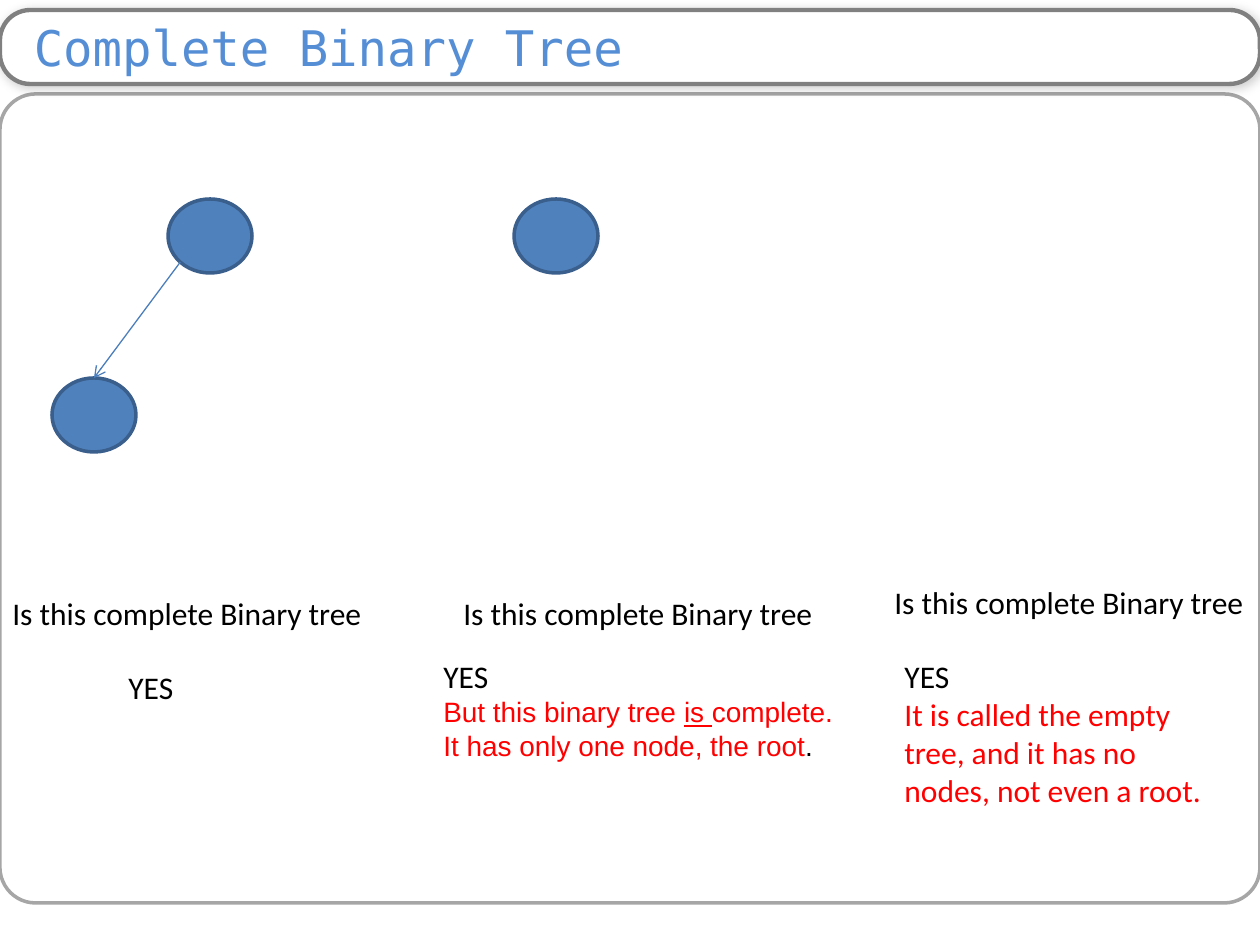
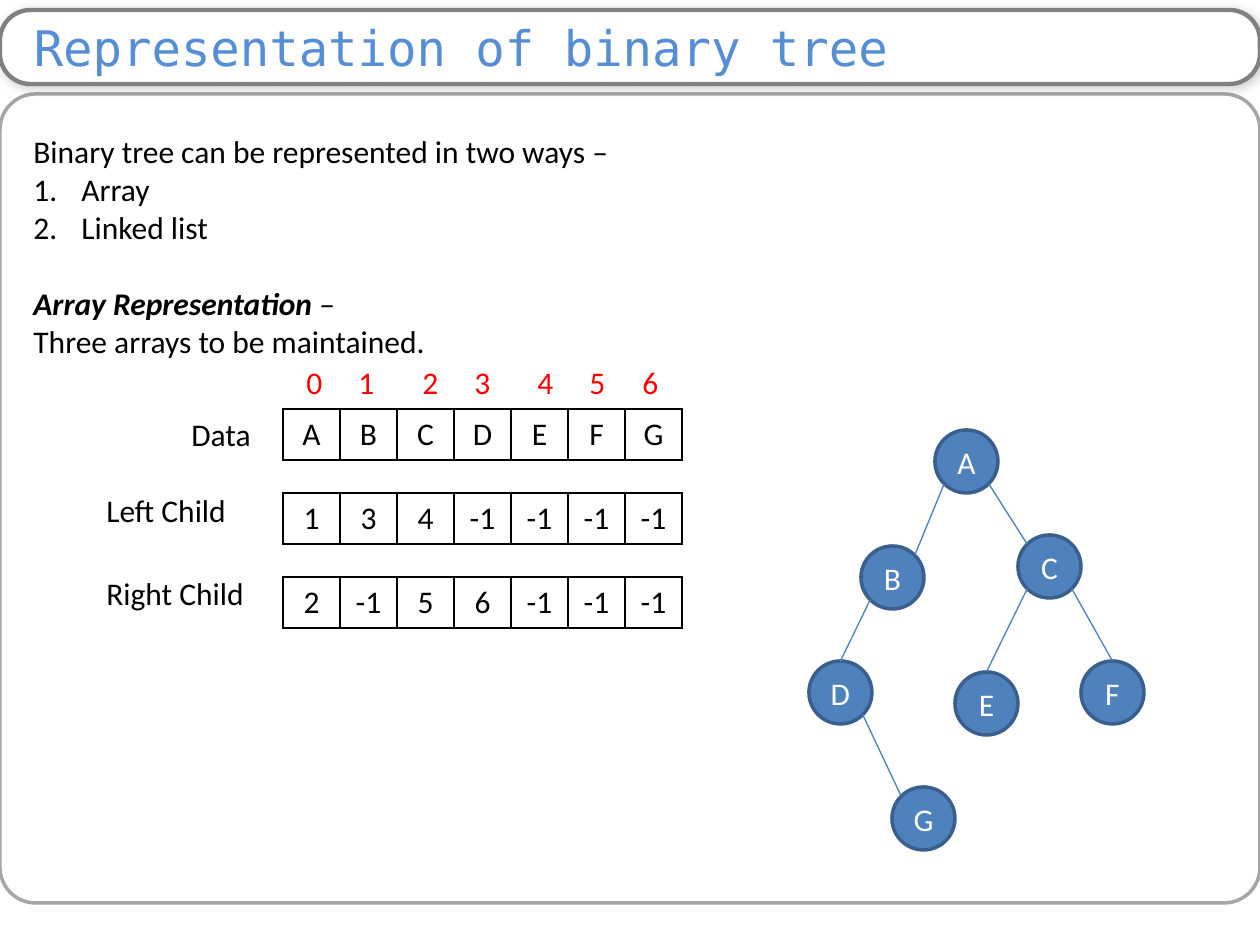
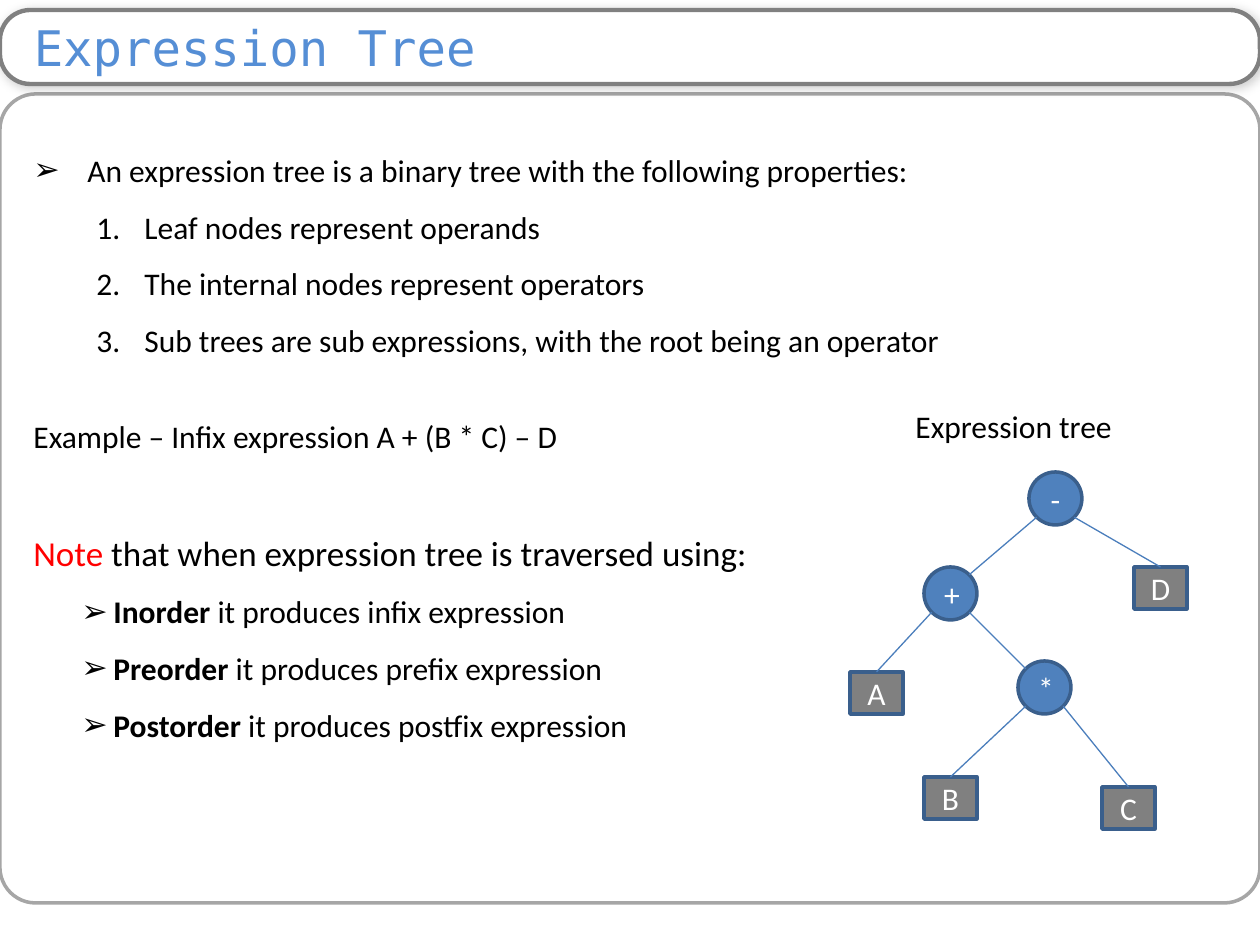
from dataclasses import dataclass

from lxml.etree import SubElement
from pptx import Presentation
from pptx.dml.color import RGBColor
from pptx.enum.shapes import MSO_CONNECTOR as Connector, MSO_SHAPE as Shape
from pptx.enum.text import MSO_ANCHOR as Anchor, MSO_AUTO_SIZE as AutoSize, PP_ALIGN as Align
from pptx.oxml.ns import qn
from pptx.util import Emu, Pt

PX_PER_INCH = 126
SLIDE_W, SLIDE_H = 1260, 945


@dataclass(frozen=True)
class Theme:
    white: str = "FFFFFF"
    black: str = "000000"
    red: str = "FF0000"
    title: str = "558ED5"
    title_line: str = "808080"
    frame_line: str = "A6A6A6"
    node: str = "4F81BD"
    node_line: str = "3A5F8C"
    leaf: str = "808080"
    edge: str = "4B7EBC"
    body_font: str = "Calibri"
    title_font: str = "DejaVu Sans Mono"
    answer_font: str = "Arial"
    title_size: int = 28
    note_size: int = 20
    body_size: int = 18
    answer_size: int = 16


T = Theme()

# Paragraphs are strings or dicts; runs are (text, format) pairs.
QUESTION = "Is this complete Binary tree"
QUESTIONS = [(0, 588, 393), (451, 588, 378), (882, 577, 378)]
RED_ARIAL = dict(color=T.red, font=T.answer_font, size=T.answer_size)
ANSWERS = [
    ((116, 662, 71, 50), ["YES"], False),
    ((431, 651, 420, 158), ["YES", dict(runs=[
        ("But this binary tree ", RED_ARIAL),
        ("is ", dict(RED_ARIAL, underline=True)),
        ("complete. It has only one node, the root", RED_ARIAL),
        (".", dict(RED_ARIAL, color=T.black))])], True),
    ((892, 651, 336, 204), ["YES", dict(runs=[
        ("It is called the empty tree, and it has no nodes, not even a root.",
         dict(color=T.red))])], True),
]

# Nodes: name -> (left, top, label). Edges: (parent, child, where it meets the child).
TWO_NODES = {"root": (168, 199, ""), "child": (52, 378, "")}
TWO_NODE_EDGES = [("root", "child", "top")]
SINGLE_NODE = {"root": (514, 199, "")}

NUMBERED = dict(number=True, margin=48, hang=48)
ARRAY_TEXT = [
    "Binary tree can be represented in two ways –",
    dict(runs=[("Array", {})], **NUMBERED),
    dict(runs=[("Linked list", {})], **NUMBERED),
    dict(runs=[("Array Representation ", dict(bold=True, italic=True)), ("–", {})], before=22),
    "Three arrays to be maintained.",
]
INDEX_LEFTS = [294, 346, 410, 462, 525, 577, 630]
ARRAYS = [
    ("Data", (179, 409, 95, 50), ["A", "B", "C", "D", "E", "F", "G"]),
    ("Left Child", (94, 485, 179, 50), ["1", "3", "4", "-1", "-1", "-1", "-1"]),
    ("Right Child", (94, 568, 179, 50), ["2", "-1", "5", "6", "-1", "-1", "-1"]),
]
ARRAY_LEFT, ARRAY_TOP, ARRAY_STEP, CELL_W, CELL_H = 283, 409, 84, 57, 51
LETTER_TREE = {
    "A": (935, 430, "A"), "B": (861, 546, "B"), "C": (1018, 535, "C"), "D": (809, 661, "D"),
    "E": (955, 672, "E"), "F": (1081, 661, "F"), "G": (892, 787, "G"),
}
LETTER_EDGES = [("A", "B", "corner"), ("A", "C", "corner"), ("B", "D", "top"),
                ("D", "G", "corner"), ("C", "F", "top"), ("C", "E", "top")]

RULE = dict(number=True, margin=111, hang=48, spacing=1.5)
TRAVERSAL = dict(bullet="➢", margin=80, hang=32, spacing=1.5)
EXPRESSION_TEXT = [
    dict(runs=[("An expression tree is a binary tree with the following properties:", {})],
         bullet="➢", margin=54, hang=54, spacing=1.5),
    dict(runs=[("Leaf nodes represent operands", {})], **RULE),
    dict(runs=[("The internal nodes represent operators", {})], **RULE),
    dict(runs=[("Sub trees are sub expressions, with the root being an operator", {})], **RULE),
    dict(runs=[("Example – Infix expression A + (B * C) – D", {})], before=33),
    dict(runs=[("Note", dict(size=T.note_size, color=T.red)),
               (" that when expression tree is traversed using:", dict(size=T.note_size))],
         before=44),
    *[dict(runs=[(order, dict(bold=True)), (f" it produces {form} expression", {})], **TRAVERSAL)
      for order, form in [("Inorder", "infix"), ("Preorder", "prefix"), ("Postorder", "postfix")]],
]
OPERATORS = {"-": (1029, 472, "-"), "*": (1018, 661, "*"), "+": (924, 567, "+")}
OPERANDS = {"A": (850, 672, "A"), "D": (1134, 567, "D"),
            "B": (924, 777, "B"), "C": (1102, 787, "C")}
EXPRESSION_EDGES = [("-", "D", "top"), ("-", "+", "corner"), ("+", "A", "top"),
                    ("+", "*", "corner"), ("*", "B", "top"), ("*", "C", "top")]


def px(n):
    return Emu(round(n * 914400 / PX_PER_INCH))


def rgb(color):
    return RGBColor.from_string(color)


def write(tf, paragraphs, size=T.body_size, font=T.body_font, color=T.black, align=None):
    """Fill a text frame; run formats override the given defaults."""
    for i, para in enumerate(paragraphs):
        if isinstance(para, str):
            para = dict(runs=[(para, {})])
        p = tf.paragraphs[0] if i == 0 else tf.add_paragraph()
        format_paragraph(p, align, para)
        for text, fmt in para["runs"]:
            r = p.add_run()
            r.text = text
            f = r.font
            f.size = Pt(fmt.get("size", size))
            f.name = fmt.get("font", font)
            f.color.rgb = rgb(fmt.get("color", color))
            for flag in ("bold", "italic", "underline"):
                if flag in fmt:
                    setattr(f, flag, fmt[flag])


def format_paragraph(p, align, para):
    if align is not None:
        p.alignment = align
    if "spacing" in para:
        p.line_spacing = para["spacing"]
    if "before" in para:
        p.space_before = Pt(para["before"])
    if "margin" in para:
        pPr = p._p.get_or_add_pPr()
        pPr.set("marL", str(px(para["margin"])))
        pPr.set("indent", str(-px(para["hang"])))
        SubElement(pPr, qn("a:buFont"), typeface="Arial" if "bullet" in para else T.body_font)
        if "bullet" in para:
            SubElement(pPr, qn("a:buChar"), char=para["bullet"])
        else:
            SubElement(pPr, qn("a:buAutoNum"), type="arabicPeriod")


def add_text(shapes, box, paragraphs, wrap=True, **fmt):
    tf = shapes.add_textbox(*map(px, box)).text_frame
    tf.word_wrap = wrap
    tf.auto_size = AutoSize.SHAPE_TO_FIT_TEXT
    write(tf, paragraphs, **fmt)


def add_shape(shapes, kind, box, line, width, fill=None):
    sp = shapes.add_shape(kind, *map(px, box))
    sp.shadow.inherit = False
    if fill:
        sp.fill.solid()
        sp.fill.fore_color.rgb = rgb(fill)
    else:
        sp.fill.background()
    sp.line.color.rgb = rgb(line)
    sp.line.width = Pt(width)
    return sp


def add_nodes(shapes, nodes, size, kind=Shape.OVAL, fill=T.node):
    placed = {}
    for name, (left, top, label) in nodes.items():
        sp = add_shape(shapes, kind, (left, top, *size), T.node_line, 2, fill)
        if label:
            sp.text_frame.vertical_anchor = Anchor.MIDDLE
            write(sp.text_frame, [label], color=T.white, align=Align.CENTER)
        placed[name] = sp
    return placed


def rim(sp, x_sign, y_sign):
    """Point on an ellipse at 45 degrees towards the given signs."""
    reach = 0.5 ** 0.5
    return (round(sp.left + sp.width / 2 * (1 + x_sign * reach)),
            round(sp.top + sp.height / 2 * (1 + y_sign * reach)))


def add_edges(shapes, placed, edges, arrow=False):
    for parent, child, end in edges:
        a, b = placed[parent], placed[child]
        side = 1 if b.left > a.left else -1
        target = (b.left + b.width // 2, b.top) if end == "top" else rim(b, -side, -1)
        line = shapes.add_connector(Connector.STRAIGHT, *rim(a, side, 1), *target)
        if end == "top":
            line.end_connect(b, 0)
        line.line.color.rgb = rgb(T.edge)
        line.line.width = Pt(0.75)
        if arrow:
            SubElement(line.line._get_or_add_ln(), qn("a:tailEnd"), type="arrow")
        SubElement(line._element.spPr, qn("a:effectLst"))


def add_array(shapes, top, values):
    table = shapes.add_table(1, len(values), px(ARRAY_LEFT), px(top),
                             px(CELL_W * len(values)), px(CELL_H)).table
    table.first_row = table.horz_banding = False
    table.rows[0].height = px(CELL_H)
    for col, value in enumerate(values):
        table.columns[col].width = px(CELL_W)
        cell = table.cell(0, col)
        write(cell.text_frame, [value], align=Align.CENTER)
        tcPr = cell._tc.get_or_add_tcPr()
        for side in ("lnL", "lnR", "lnT", "lnB"):
            ln = SubElement(tcPr, qn(f"a:{side}"), w=str(Pt(1)))
            SubElement(SubElement(ln, qn("a:solidFill")), qn("a:srgbClr"), val=T.black)
        cell.fill.background()


def add_soft_shadow(sp):
    effects = sp._element.spPr.find(qn("a:effectLst"))
    shadow = SubElement(effects, qn("a:outerShdw"), blurRad=str(Pt(6)), dist=str(Pt(1)),
                        dir=str(45 * 60000), rotWithShape="0")
    color = SubElement(shadow, qn("a:srgbClr"), val=T.black)
    SubElement(color, qn("a:alpha"), val="20000")


def new_slide(prs, title):
    """Add a blank slide with the body frame and title band; return its shapes."""
    shapes = prs.slides.add_slide(prs.slide_layouts[6]).shapes
    frame = add_shape(shapes, Shape.ROUNDED_RECTANGLE, (0, 94, SLIDE_W, 809), T.frame_line, 2)
    frame.adjustments[0] = 0.044
    band = add_shape(shapes, Shape.ROUNDED_RECTANGLE, (0, 10, SLIDE_W, 74),
                     T.title_line, 2.5, T.white)
    band.adjustments[0] = 0.409
    add_soft_shadow(band)
    tf = band.text_frame
    tf.vertical_anchor = Anchor.MIDDLE
    tf.margin_left, tf.margin_top, tf.margin_right, tf.margin_bottom = map(px, (25, 0, 13, 0))
    write(tf, [title], size=T.title_size, font=T.title_font, color=T.title, align=Align.LEFT)
    return shapes


def complete_tree_slide(prs):
    shapes = new_slide(prs, "Complete Binary Tree")
    for left, top, width in QUESTIONS:
        add_text(shapes, (left, top, width, 50), [QUESTION], wrap=False)
    for box, paragraphs, wrap in ANSWERS:
        add_text(shapes, box, paragraphs, wrap=wrap)
    size = (84, 74)
    placed = add_nodes(shapes, TWO_NODES, size)
    add_nodes(shapes, SINGLE_NODE, size)
    add_edges(shapes, placed, TWO_NODE_EDGES, arrow=True)


def representation_slide(prs):
    shapes = new_slide(prs, "Representation of binary tree")
    add_text(shapes, (21, 126, 1218, 318), ARRAY_TEXT)
    for row, (label, box, values) in enumerate(ARRAYS):
        add_array(shapes, ARRAY_TOP + row * ARRAY_STEP, values)
        add_text(shapes, box, [label])
    tree = shapes.add_group_shape().shapes
    add_edges(tree, add_nodes(tree, LETTER_TREE, (63, 63)), LETTER_EDGES)
    indexes = shapes.add_group_shape().shapes
    for i, left in enumerate(INDEX_LEFTS):
        add_text(indexes, (left, 357, 42, 50), [str(i)], color=T.red)


def expression_slide(prs):
    shapes = new_slide(prs, "Expression Tree")
    add_text(shapes, (21, 126, 1218, 780), EXPRESSION_TEXT)
    tree = shapes.add_group_shape().shapes
    placed = add_nodes(tree, OPERATORS, (53, 53))
    placed |= add_nodes(tree, OPERANDS, (53, 42), Shape.RECTANGLE, T.leaf)
    add_edges(tree, placed, EXPRESSION_EDGES)
    add_text(shapes, (903, 401, 294, 50), ["Expression tree"])


def main():
    prs = Presentation()
    prs.slide_width, prs.slide_height = px(SLIDE_W), px(SLIDE_H)
    complete_tree_slide(prs)
    representation_slide(prs)
    expression_slide(prs)
    prs.save("out.pptx")


if __name__ == "__main__":
    main()
